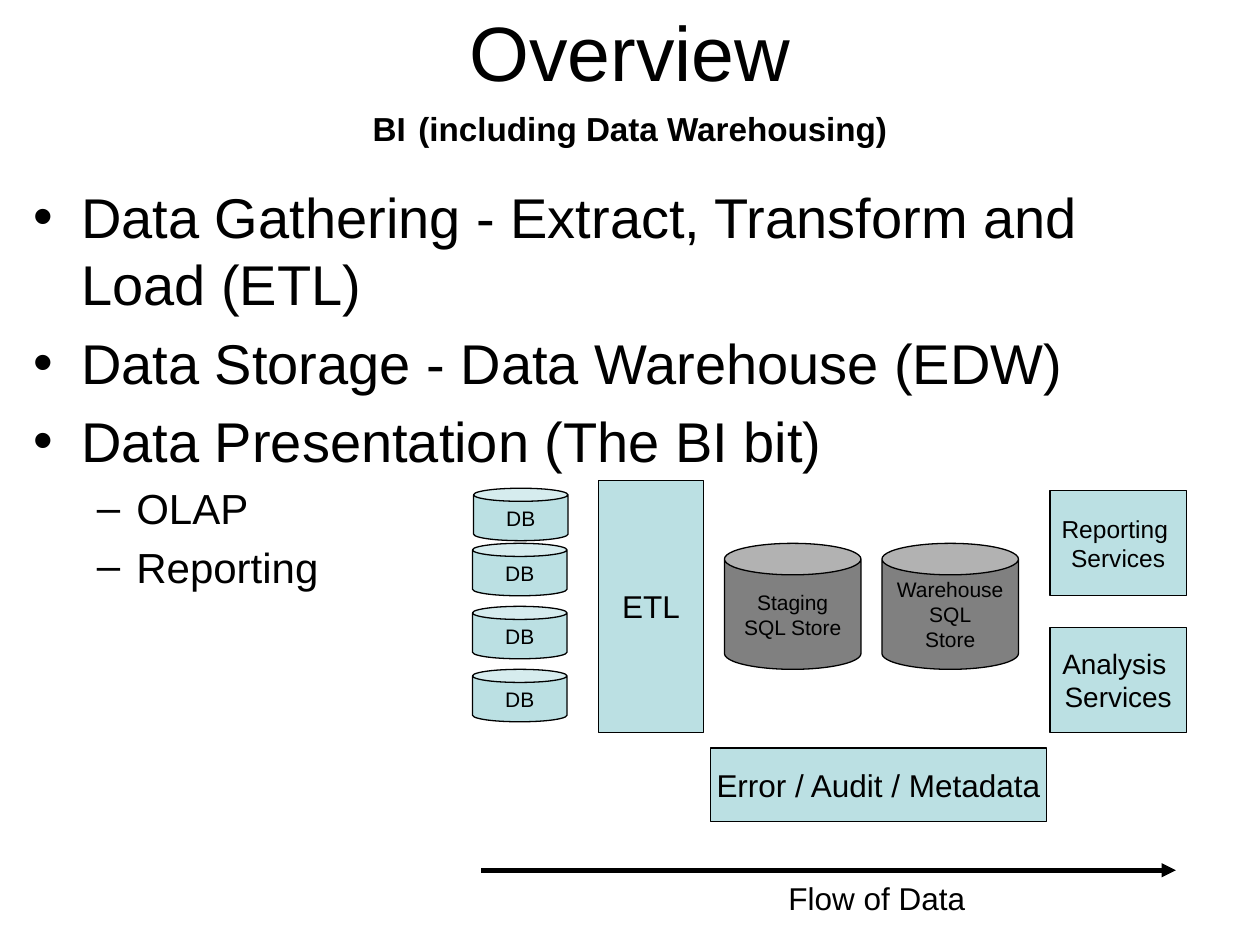
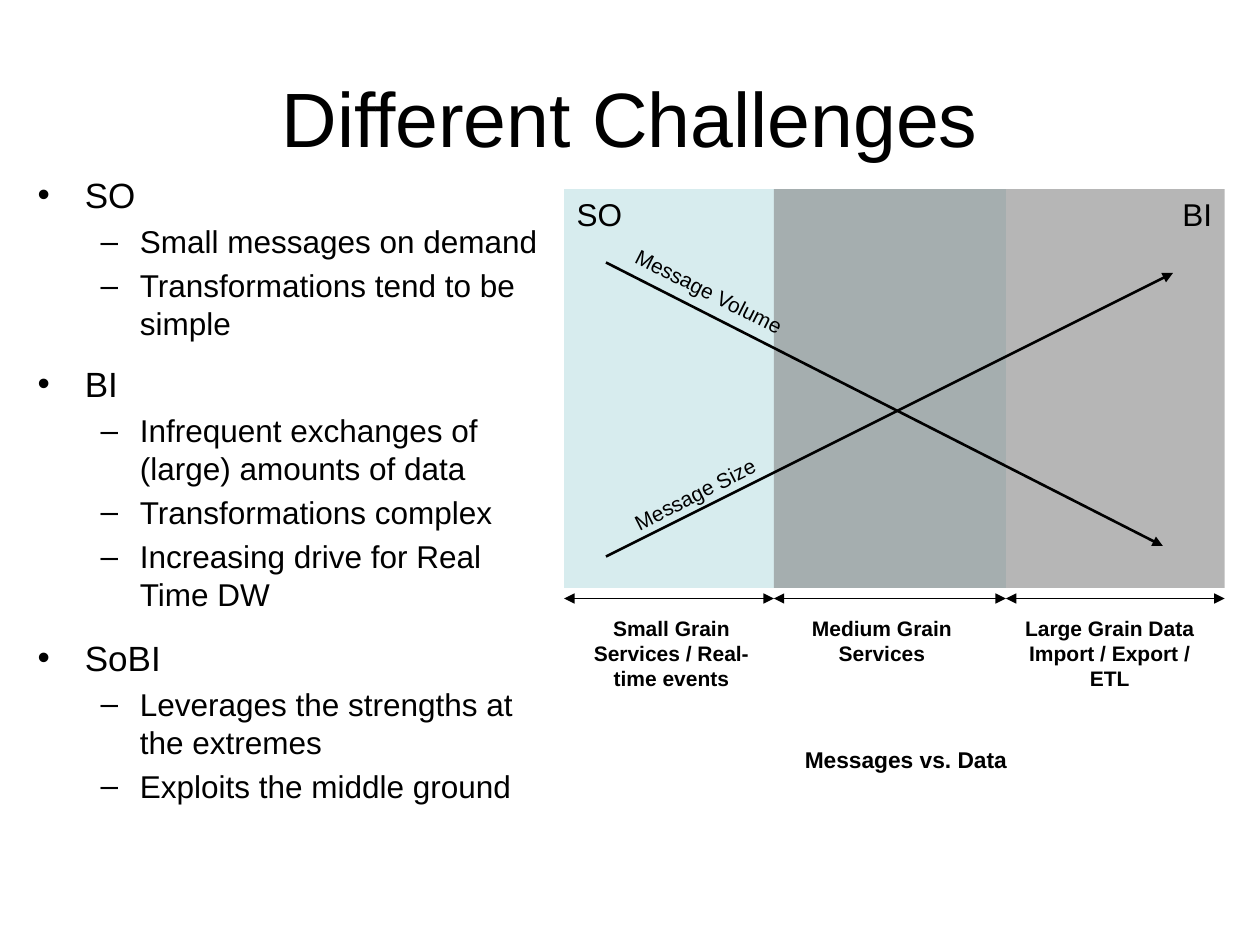
from dataclasses import dataclass
from itertools import pairwise
from typing import NamedTuple

from lxml.etree import SubElement
from pptx import Presentation
from pptx.dml.color import RGBColor
from pptx.enum.shapes import MSO_CONNECTOR, MSO_SHAPE
from pptx.enum.text import MSO_ANCHOR, PP_ALIGN
from pptx.oxml.ns import qn
from pptx.util import Pt

FONT = "Arial"
BLACK, AQUA, GREY = "000000", "BBE0E3", "808080"
LEFT, CENTER, RIGHT = PP_ALIGN.LEFT, PP_ALIGN.CENTER, PP_ALIGN.RIGHT
TOP, MIDDLE = MSO_ANCHOR.TOP, MSO_ANCHOR.MIDDLE
INSETS = (7.2, 3.6, 7.2, 3.6)
TITLE_SIZE = 44


class Box(NamedTuple):
    x: float
    y: float
    w: float
    h: float


class Run(NamedTuple):
    text: str
    size: float
    bold: bool = False


@dataclass
class Node:
    """A filled shape with one paragraph per line of text."""
    kind: MSO_SHAPE
    box: Box
    lines: list[str]
    size: float
    fill: str = AQUA
    wrap: bool = False


@dataclass
class Label:
    """A plain text box with one run."""
    box: Box
    run: Run
    align: PP_ALIGN = CENTER
    rotation: float = 0
    insets: tuple = INSETS


@dataclass
class Bullet:
    """A list item; gap is extra space above it."""
    text: str
    size: float
    level: int = 0
    gap: float = 0


@dataclass
class Arrow:
    """A straight line with a head at its end, or at both ends."""
    x1: float
    y1: float
    x2: float
    y2: float
    width: float
    both: bool = False


def color(value: str) -> RGBColor:
    """Turn a hex string into a colour."""
    return RGBColor.from_string(value)


def add_run(p, run: Run) -> None:
    """Append a styled run to a paragraph."""
    r = p.add_run()
    r.text = run.text
    r.font.name = FONT
    r.font.size = Pt(run.size)
    r.font.bold = run.bold
    r.font.color.rgb = color(BLACK)


def set_frame(tf, anchor=TOP, wrap=True, insets=INSETS) -> None:
    """Set wrapping, anchor and margins of a text frame."""
    tf.word_wrap = wrap
    tf.vertical_anchor = anchor
    tf.margin_left, tf.margin_top, tf.margin_right, tf.margin_bottom = map(Pt, insets)


def add_lines(tf, lines: list[str], size: float, align=CENTER) -> None:
    """Write each line as a paragraph."""
    for i, line in enumerate(lines):
        p = tf.paragraphs[0] if i == 0 else tf.add_paragraph()
        p.alignment = align
        add_run(p, Run(line, size))


def add_box(s, box: Box):
    """Add an empty text box."""
    return s.shapes.add_textbox(*map(Pt, box))


def add_title(s, y: float, text: str, subtitle: tuple[Run, ...] = ()) -> None:
    """Add the centred title, with an optional second line."""
    tf = add_box(s, Box(36, y, 648, 90)).text_frame
    set_frame(tf, MIDDLE)
    p = tf.paragraphs[0]
    p.alignment = CENTER
    add_run(p, Run(text, TITLE_SIZE))
    if subtitle:
        p.add_line_break()
    for run in subtitle:
        add_run(p, run)


def add_bullets(s, box: Box, bullets: list[Bullet], insets=INSETS) -> None:
    """Add a two-level bulleted list."""
    tf = add_box(s, box).text_frame
    set_frame(tf, insets=insets)
    for i, bullet in enumerate(bullets):
        p = tf.paragraphs[0] if i == 0 else tf.add_paragraph()
        margin, indent, mark = ((27, -27, "•"), (58.5, -22.5, "–"))[bullet.level]
        p.level = bullet.level
        p.space_before = Pt(round(bullet.size * 0.2 + bullet.gap, 1))
        pPr = p._p.get_or_add_pPr()
        pPr.set("marL", str(Pt(margin)))
        pPr.set("indent", str(Pt(indent)))
        SubElement(pPr, qn("a:buFont"), typeface=FONT)
        SubElement(pPr, qn("a:buChar"), char=mark)
        add_run(p, Run(bullet.text, bullet.size))


def add_shape(s, kind: MSO_SHAPE, box: Box, fill: str):
    """Add a filled shape without shadow or line."""
    sp = s.shapes.add_shape(kind, *map(Pt, box))
    sp.shadow.inherit = False
    sp.fill.solid()
    sp.fill.fore_color.rgb = color(fill)
    sp.line.fill.background()
    return sp


def add_node(s, node: Node) -> None:
    """Add an outlined diagram node."""
    sp = add_shape(s, node.kind, node.box, node.fill)
    sp.line.color.rgb = color(BLACK)
    sp.line.width = Pt(0.75)
    set_frame(sp.text_frame, MIDDLE, node.wrap)
    add_lines(sp.text_frame, node.lines, node.size)


def add_zone(s, box: Box, fill: str, opacity: int, text: str, align: PP_ALIGN) -> None:
    """Add a translucent zone named at its top."""
    sp = add_shape(s, MSO_SHAPE.RECTANGLE, box, fill)
    clr = sp._element.spPr.find(qn("a:solidFill")).find(qn("a:srgbClr"))
    SubElement(clr, qn("a:alpha"), val=str(opacity * 1000))
    set_frame(sp.text_frame)
    add_lines(sp.text_frame, [text], 18, align)


def add_label(s, label: Label) -> None:
    """Add a free label."""
    sp = add_box(s, label.box)
    sp.rotation = label.rotation
    set_frame(sp.text_frame, insets=label.insets)
    p = sp.text_frame.paragraphs[0]
    p.alignment = label.align
    add_run(p, label.run)


def add_arrow(s, arrow: Arrow) -> None:
    """Add an arrow."""
    ends = map(Pt, (arrow.x1, arrow.y1, arrow.x2, arrow.y2))
    cn = s.shapes.add_connector(MSO_CONNECTOR.STRAIGHT, *ends)
    cn.line.color.rgb = color(BLACK)
    cn.line.width = Pt(arrow.width)
    ln = cn.line._get_or_add_ln()
    for tag in ("a:headEnd", "a:tailEnd") if arrow.both else ("a:tailEnd",):
        SubElement(ln, qn(tag), type="triangle")
    SubElement(cn._element.spPr, qn("a:effectLst"))


def build_overview(s) -> None:
    """Draw the overview of the data flow."""
    add_title(s, -0.7, "Overview", (
        Run("BI", 19, True), Run(" ", 26, True),
        Run("(including Data Warehousing)", 19, True)))
    add_bullets(s, Box(19.4, 104.4, 641, 188), [
        Bullet("Data Gathering - Extract, Transform and Load (ETL)", 32),
        Bullet("Data Storage - Data Warehouse (EDW)", 32),
        Bullet("Data Presentation (The BI bit)", 32),
        Bullet("OLAP", 24, 1),
        Bullet("Reporting", 24, 1),
    ], insets=(0, 0, 0, 0))
    can, rect = MSO_SHAPE.CAN, MSO_SHAPE.RECTANGLE
    sources = [(270.6, 279), (270, 310.5), (270, 346.5), (270, 382.5)]
    nodes = [Node(can, Box(x, y, 54, 30), ["DB"], 12, wrap=True) for x, y in sources]
    nodes += [
        Node(can, Box(414, 310.5, 78, 72), ["Staging", "SQL Store"], 12, GREY),
        Node(can, Box(504, 310.5, 78, 72), ["Warehouse", "SQL", "Store"], 12, GREY),
        Node(rect, Box(342, 274.5, 60, 144), ["ETL"], 18),
        Node(rect, Box(406, 427.5, 192, 42), ["Error / Audit / Metadata"], 18),
        Node(rect, Box(600, 358.5, 78, 60), ["Analysis ", "Services"], 16),
        Node(rect, Box(600, 280.5, 78, 60), ["Reporting ", "Services"], 14),
    ]
    for node in nodes:
        add_node(s, node)
    add_arrow(s, Arrow(275, 497.3, 672, 497.3, 2.75))
    add_label(s, Label(Box(348, 498.5, 306, 29), Run("Flow of Data", 18)))


def build_challenges(s) -> None:
    """Draw the comparison of messages and data."""
    add_title(s, 21.6, "Different Challenges")
    add_bullets(s, Box(14.4, 95.8, 300.3, 378), [
        Bullet("SO", 20),
        Bullet("Small messages on demand", 18, 1),
        Bullet("Transformations tend to be simple", 18, 1),
        Bullet("BI", 20, gap=8),
        Bullet("Infrequent exchanges of (large) amounts of data", 18, 1),
        Bullet("Transformations complex", 18, 1),
        Bullet("Increasing drive for Real Time DW", 18, 1),
        Bullet("SoBI", 20, gap=9.5),
        Bullet("Leverages the strengths at the extremes", 18, 1),
        Bullet("Exploits the middle ground", 18, 1),
    ])
    bounds = (322.4, 442.2, 574.8, 699.8)
    top, height = 108, 228
    add_zone(s, Box(bounds[0], top, bounds[2] - bounds[0], height), AQUA, 59, "SO", LEFT)
    add_zone(s, Box(bounds[1], top, bounds[3] - bounds[1], height), GREY, 57, "BI", RIGHT)
    for x1, x2 in pairwise(bounds):
        add_arrow(s, Arrow(x1, 342, x2, 342, 0.75, both=True))
    add_arrow(s, Arrow(346.3, 318, 670.3, 156, 1.5))
    add_arrow(s, Arrow(346.3, 150, 664.5, 312, 1.5))
    grains = [
        (331, 105.3, "Small Grain Services / Real-time events"),
        (450, 108, "Medium Grain Services"),
        (574.6, 119, "Large Grain Data Import / Export / ETL"),
    ]
    labels = [Label(Box(x, 348, w, 50), Run(text, 12, True)) for x, w, text in grains]
    labels += [
        Label(Box(331, 414, 368.6, 31), Run("Messages vs. Data", 13, True),
              insets=(11.5, 12.2, 7.2, 2.9)),
        Label(Box(352, 156, 108, 21.8), Run("Message Volume", 12), LEFT, 26.9),
        Label(Box(352, 270, 96, 21.8), Run("Message Size", 12), LEFT, 333.2),
    ]
    for label in labels:
        add_label(s, label)


def main() -> None:
    """Build and save the presentation."""
    prs = Presentation()
    prs.slide_width, prs.slide_height = Pt(720), Pt(540)
    for build in (build_overview, build_challenges):
        build(prs.slides.add_slide(prs.slide_layouts[6]))
    prs.save("out.pptx")


if __name__ == "__main__":
    main()
